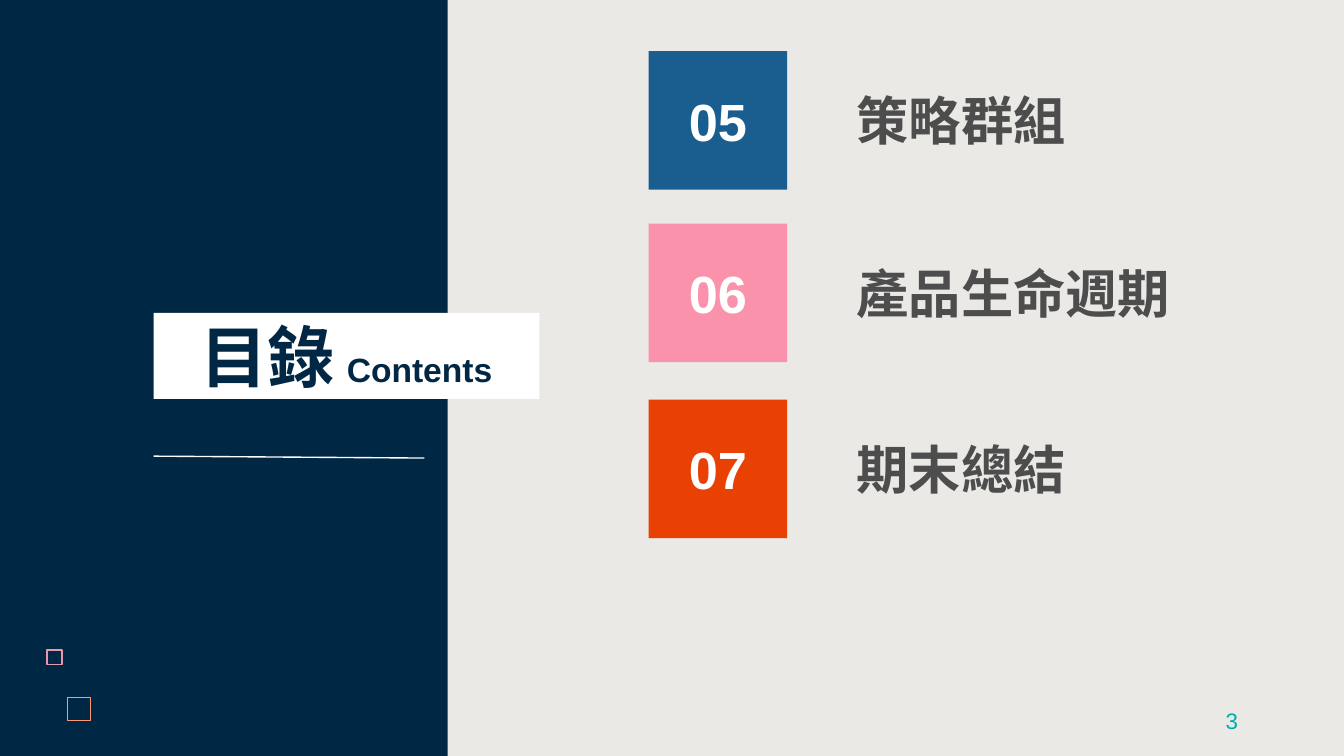
from lxml import etree
from pptx import Presentation
from pptx.dml.color import RGBColor
from pptx.enum.shapes import MSO_CONNECTOR, MSO_SHAPE
from pptx.enum.text import MSO_ANCHOR, PP_ALIGN
from pptx.oxml.ns import qn
from pptx.util import Pt

COLORS = {
    "navy": "002845", "paper": "EAE9E6", "white": "FFFFFF", "text": "4D4D4D",
    "blue": "1A5E8F", "pink": "FA92AC", "orange": "E94104",
    "teal": "00AEAC", "rose": "E898AC", "peach": "FF9973",
}
LATIN, CJK = "Arial", "Noto Sans CJK SC"


def rgb(name):
    return RGBColor.from_string(COLORS[name])


def add_rect(slide, box, fill=None, line=None):
    sp = slide.shapes.add_shape(MSO_SHAPE.RECTANGLE, *map(Pt, box))
    sp.shadow.inherit = False
    if fill:
        sp.fill.solid()
        sp.fill.fore_color.rgb = rgb(fill)
    else:
        sp.fill.background()
    if line:
        sp.line.color.rgb = rgb(line)
        sp.line.width = Pt(0.75)
    else:
        sp.line.fill.background()
    return sp


def write(sp, runs, color, font=LATIN, bold=True, align=PP_ALIGN.CENTER,
          anchor=MSO_ANCHOR.MIDDLE):
    """Fill a shape with one paragraph of (text, size) runs."""
    tf = sp.text_frame
    tf.word_wrap = True
    tf.vertical_anchor = anchor
    p = tf.paragraphs[0]
    p.alignment = align
    for text, size in runs:
        r = p.add_run()
        r.text = text
        r.font.size = Pt(size)
        r.font.bold = bold
        r.font.name = font
        r.font.color.rgb = rgb(color)
        # East Asian typeface
        etree.SubElement(r.font._element, qn("a:ea"), typeface=CJK)


def add_title_panel(slide, box):
    x, y, w, h = box
    # Title plate, reaching past the panel's right edge
    plate = add_rect(slide, (x + 82.3, y + 167.7, 206.7, 46.1), "white")
    write(plate, [("目錄", 36), (" ", 28), ("Contents", 18)], "navy")
    # Thin rule below the title
    rule = slide.shapes.add_connector(
        MSO_CONNECTOR.STRAIGHT, Pt(x + 82.3), Pt(y + 244.4),
        Pt(x + 227.3), Pt(y + 245.4))
    rule.line.color.rgb = rgb("white")
    rule.line.width = Pt(0.75)
    etree.SubElement(rule._element.spPr, qn("a:effectLst"))
    # Small outlined squares
    for dx, dy, side, color in ((25.2, 348.2, 8, "rose"),
                                (36.2, 373.8, 12.3, "peach")):
        add_rect(slide, (x + dx, y + dy, side, side), line=color)


def add_entry(slide, box, number, label, color):
    x, y, w, h = box
    tile = add_rect(slide, (x, y, h, h), color)
    write(tile, [(number, 28)], "white")
    left = x + 104.4
    tb = slide.shapes.add_textbox(Pt(left), Pt(y + 16.5), Pt(x + w - left), Pt(41))
    write(tb, [(label, 28)], "text", CJK, align=PP_ALIGN.LEFT,
          anchor=MSO_ANCHOR.TOP)


def add_contents(slide, box):
    x, y, w, h = box
    entries = (
        (27.4, "05", "策略群組", "blue"),
        (119.8, "06", "產品生命週期", "pink"),
        (214.1, "07", "期末總結", "orange"),
    )
    for top, number, label, color in entries:
        add_entry(slide, (x + 107.7, y + top, 314.6, 74.2), number, label, color)


def add_page_number(slide, box):
    tb = slide.shapes.add_textbox(*map(Pt, box))
    write(tb, [("3", 12)], "teal", bold=False, align=PP_ALIGN.RIGHT)


def main():
    prs = Presentation()
    prs.slide_width, prs.slide_height = Pt(720), Pt(405)
    slide = prs.slides.add_slide(prs.slide_layouts[6])
    slide.background.fill.solid()
    slide.background.fill.fore_color.rgb = rgb("navy")

    split = 239.8
    right = (split, 0, 720 - split, 405)
    add_rect(slide, right, "paper")
    add_title_panel(slide, (0, 0, split, 405))
    add_contents(slide, right)
    add_page_number(slide, (508.3, 375.3, 162, 21.6))
    prs.save("out.pptx")


if __name__ == "__main__":
    main()
